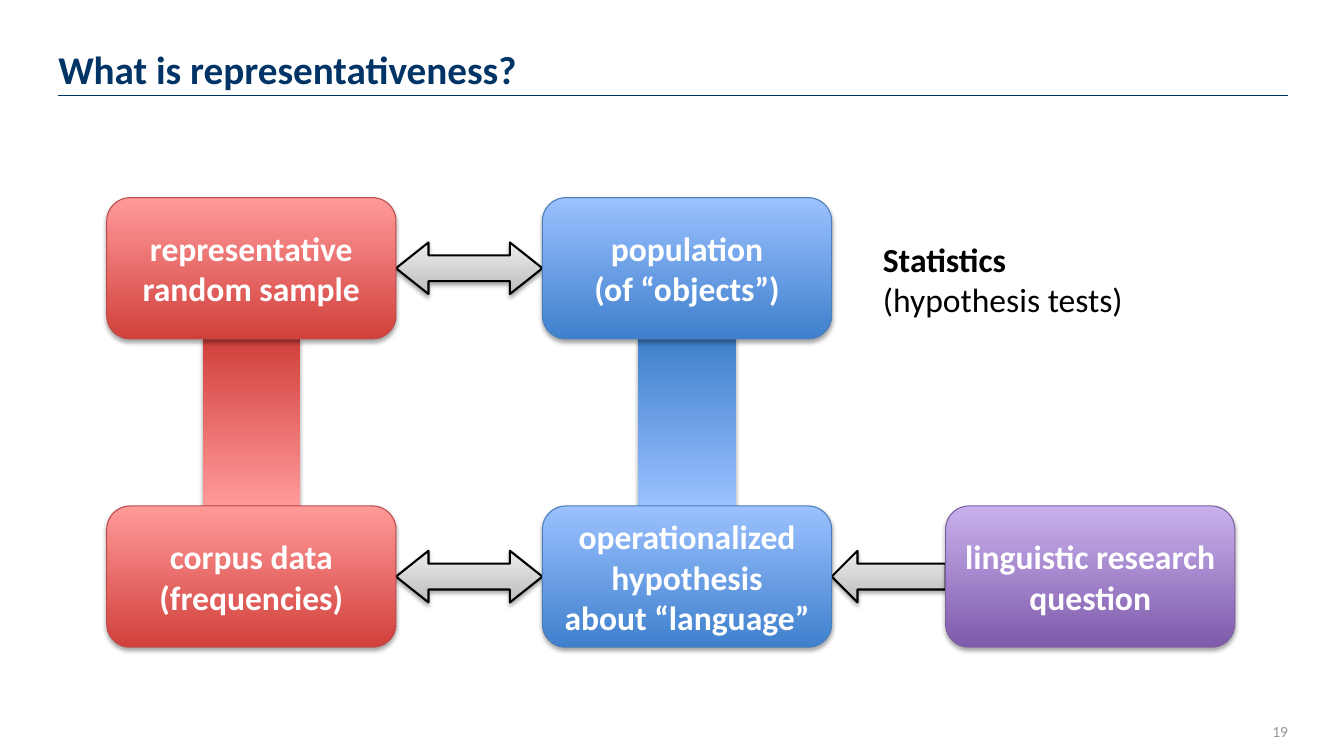
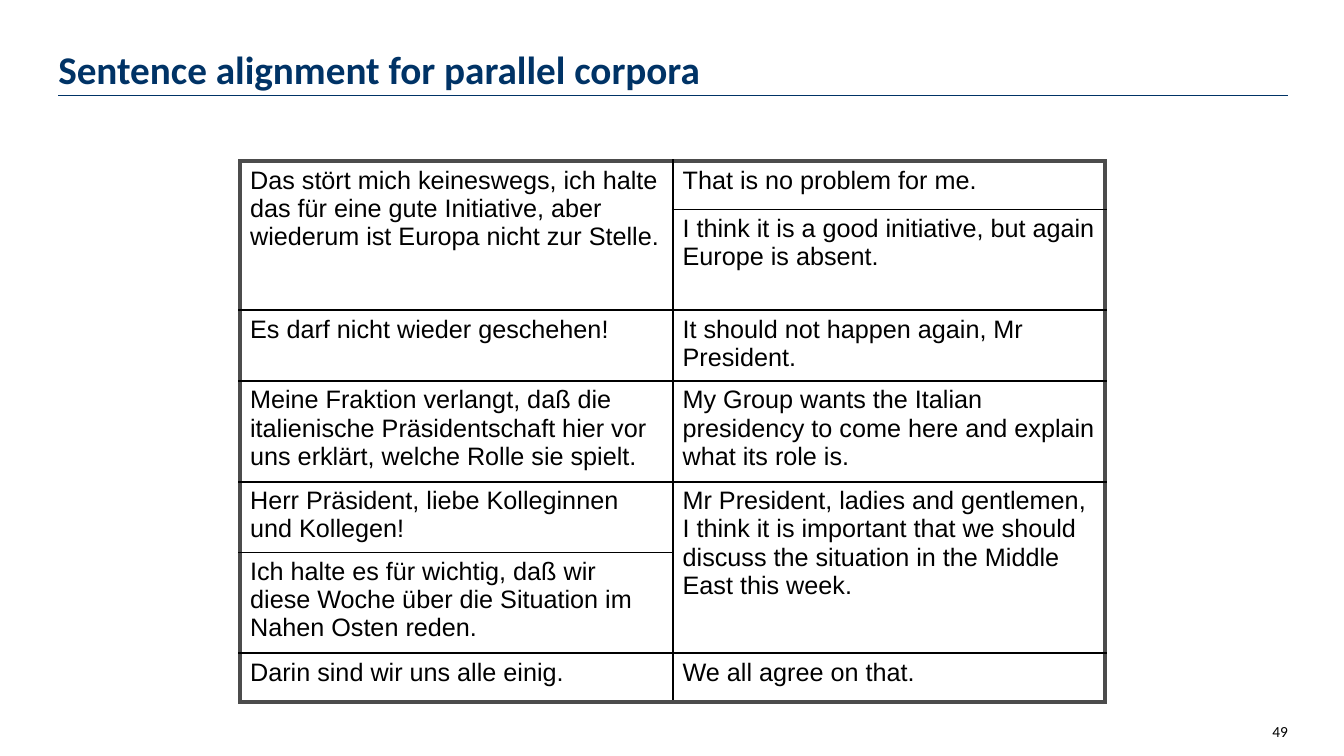
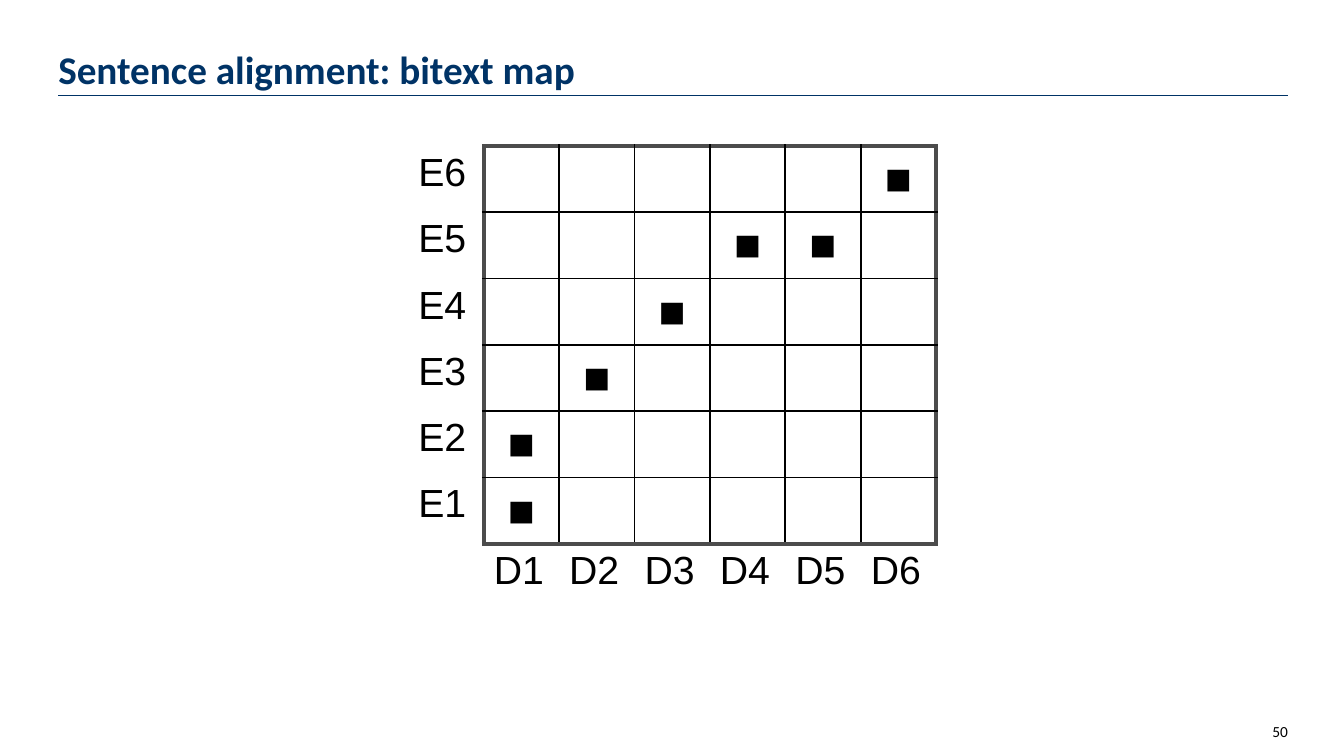
from dataclasses import dataclass

from lxml import etree
from pptx import Presentation, util as u
from pptx.dml.color import RGBColor
from pptx.enum import shapes, text
from pptx.oxml.ns import qn

Cm, Pt = u.Cm, u.Pt
SHAPE, ALIGN, ANCHOR = shapes.MSO_SHAPE, text.PP_ALIGN, text.MSO_ANCHOR


@dataclass(frozen=True)
class Theme:
    navy: str = "003366"
    black: str = "000000"
    white: str = "FFFFFF"
    grey: str = "969696"
    frame: str = "4C4C4C"
    # light end, dark end, outline
    red: tuple = ("FF9A99", "D1403C", "BE4B48")
    blue: tuple = ("9BC1FF", "3F80CD", "4A7EBB")
    violet: tuple = ("C8B0ED", "7F5BAB", "7D60A0")
    steel: tuple = ("EDEDED", "BCBCBC", "000000")
    head: str = "Calibri"
    body: str = "Arial"
    title: int = 28
    label: int = 24
    cell: int = 18
    mark: int = 32
    page: int = 11


T = Theme()
rgb = RGBColor.from_string


def put(frame, line, size=T.label, font=T.head, color=T.black, bold=False,
        align=ALIGN.LEFT, space=None):
    """Fill the empty first paragraph, or add one after the others."""
    para = frame.paragraphs[0]
    if para.runs:
        para = frame.add_paragraph()
    para.alignment = align
    if space:
        para.line_spacing = Pt(space)
    run = para.add_run()
    run.text = line
    run.font.size, run.font.name, run.font.bold = Pt(size), font, bold
    run.font.color.rgb = rgb(color)


def area(slide, x, y, w, h, anchor=ANCHOR.TOP, inset=None):
    """Add a text box; inset gives left, top, right and bottom margins."""
    frame = slide.shapes.add_textbox(Cm(x), Cm(y), Cm(w), Cm(h)).text_frame
    frame.word_wrap = True
    frame.vertical_anchor = anchor
    if inset:
        (frame.margin_left, frame.margin_top,
         frame.margin_right, frame.margin_bottom) = map(Cm, inset)
    return frame


def start(deck, title, page, tint=T.black):
    """Add a slide with its title, rule and page number."""
    slide = deck.slides.add_slide(deck.slide_layouts[6])
    rule = slide.shapes.add_connector(
        shapes.MSO_CONNECTOR.STRAIGHT, Cm(1.47), Cm(2.4), Cm(32.46), Cm(2.4))
    rule.line.color.rgb, rule.line.width = rgb(T.navy), Pt(0.75)
    etree.SubElement(rule._element.spPr, qn("a:effectLst"))
    put(area(slide, 1.47, 0.33, 21.44, 2.01, ANCHOR.BOTTOM, (0, 0, 0, 0)),
        title, size=T.title, color=T.navy, bold=True, space=T.title)
    put(area(slide, 30.78, 17.81, 1.68, 1.24, ANCHOR.MIDDLE, (0.25, 0, 0, 0)),
        str(page), size=T.page, color=tint, align=ALIGN.RIGHT)
    return slide


def shade(shape):
    """Give a shape a soft shadow straight below it."""
    shape.shadow.inherit = False
    effects = shape._element.spPr.find(qn("a:effectLst"))
    outer = etree.SubElement(effects, qn("a:outerShdw"), blurRad="40000",
                             dist="23000", dir="5400000", rotWithShape="0")
    color = etree.SubElement(outer, qn("a:srgbClr"), val=T.black)
    etree.SubElement(color, qn("a:alpha"), val="35000")


def solid(slide, kind, x, y, w, h, top, base, edge=None, width=0.75):
    """Add a shape shaded from a top to a base colour."""
    shape = slide.shapes.add_shape(kind, Cm(x), Cm(y), Cm(w), Cm(h))
    shape.fill.gradient()
    shape.fill.gradient_angle = 270
    for stop, color in zip(shape.fill.gradient_stops, (top, base)):
        stop.color.rgb = rgb(color)
    if edge:
        shape.line.color.rgb, shape.line.width = rgb(edge), Pt(width)
    else:
        shape.line.fill.background()
    shade(shape)
    return shape


def box(slide, x, y, w, h, hue, *lines):
    shape = solid(slide, SHAPE.ROUNDED_RECTANGLE, x, y, w, h, *hue)
    frame = shape.text_frame
    frame.word_wrap, frame.vertical_anchor = True, ANCHOR.MIDDLE
    for line in lines:
        put(frame, line, color=T.white, bold=True, align=ALIGN.CENTER)


def arrow(slide, kind, left, right, mid, tip):
    high = 1.3
    shape = solid(slide, kind, left, mid - high / 2, right - left, high,
                  *T.steel, width=1.5)
    shape.adjustments[1] = tip


def grid(slide, x, y, cols, rows):
    table = slide.shapes.add_table(
        len(rows), len(cols), Cm(x), Cm(y), Cm(sum(cols)), Cm(sum(rows))).table
    table.first_row = table.horz_banding = False
    for col, size in zip(table.columns, cols):
        col.width = Cm(size)
    for row, size in zip(table.rows, rows):
        row.height = Cm(size)
    return table


def border(table, rows, cols):
    """Frame the block of rows and cols; leave other cells without lines."""
    sides = {"L": (0, -1), "R": (0, 1), "T": (-1, 0), "B": (1, 0)}
    for r in range(len(table.rows)):
        for c in range(len(table.columns)):
            cell = table.cell(r, c)
            props = cell._tc.get_or_add_tcPr()
            own = r in rows and c in cols
            for side, (down, over) in sides.items():
                near = r + down in rows and c + over in cols
                line = etree.SubElement(props, qn("a:ln" + side))
                if not (own or near):
                    etree.SubElement(line, qn("a:noFill"))
                    continue
                width, color = (1.5, T.black) if own and near else (3, T.frame)
                line.set("w", str(Pt(width)))
                fill = etree.SubElement(line, qn("a:solidFill"))
                etree.SubElement(fill, qn("a:srgbClr"), val=color)
            cell.fill.background()


def sample(deck):
    slide = start(deck, "What is representativeness?", 19, T.grey)
    wide, high, bar = 7.29, 3.56, 2.46
    left, mid, right = 2.69, 13.67, 23.83
    upper, lower = 4.98, 12.75
    for x, hue in ((left, T.red), (mid, T.blue)):
        solid(slide, SHAPE.RECTANGLE, x + (wide - bar) / 2, upper + high,
              bar, lower - upper - high, hue[1], hue[0])
    for y in (upper, lower):
        arrow(slide, SHAPE.LEFT_RIGHT_ARROW, left + wide, mid, y + high / 2, 0.63)
    arrow(slide, SHAPE.LEFT_ARROW, mid + wide, right, lower + high / 2, 0.5)
    for x, y, hue, lines in (
            (left, upper, T.red, ("representative", "random sample")),
            (mid, upper, T.blue, ("population", "(of “objects”)")),
            (left, lower, T.red, ("corpus data", "(frequencies)")),
            (mid, lower, T.blue,
             ("operationalized", "hypothesis", "about “language”")),
            (right, lower, T.violet, ("linguistic research question",))):
        box(slide, x, y, wide, high, hue, *lines)
    note = area(slide, 22, 5.89, 6.78, 2.31)
    put(note, "Statistics", bold=True)
    put(note, "(hypothesis tests)")


def align(deck):
    slide = start(deck, "Sentence alignment for parallel corpora", 49)
    pairs = (
        ("Das stört mich keineswegs, ich halte das für eine gute Initiative, "
         "aber wiederum ist Europa nicht zur Stelle.",
         "That is no problem for me."),
        (None, "I think it is a good initiative, but again Europe is absent."),
        ("Es darf nicht wieder geschehen!",
         "It should not happen again, Mr President."),
        ("Meine Fraktion verlangt, daß die italienische Präsidentschaft hier "
         "vor uns erklärt, welche Rolle sie spielt.",
         "My Group wants the Italian presidency to come here and explain what "
         "its role is."),
        ("Herr Präsident, liebe Kolleginnen und Kollegen!",
         "Mr President, ladies and gentlemen, I think it is important that we "
         "should discuss the situation in the Middle East this week."),
        ("Ich halte es für wichtig, daß wir diese Woche über die Situation im "
         "Nahen Osten reden.", None),
        ("Darin sind wir uns alle einig.", "We all agree on that."),
    )
    table = grid(slide, 6.05, 4.06, [10.9] * 2,
                 [1.22, 2.4, 1.78, 2.54, 1.78, 2.54, 1.22])
    border(table, range(len(pairs)), range(2))
    for r, pair in enumerate(pairs):
        for c, line in enumerate(pair):
            if line is None:
                table.cell(r - 1, c).merge(table.cell(r, c))
            else:
                put(table.cell(r, c).text_frame, line, size=T.cell, font=T.body)


def bitext(deck):
    slide = start(deck, "Sentence alignment: bitext map", 50)
    count = 6
    table = grid(slide, 10.29, 3.68, [1.9] * (count + 1), [1.67] * (count + 1))
    border(table, range(count), range(1, count + 1))
    for n in range(1, count + 1):
        for r, c, name in ((count - n, 0, f"E{n}"), (count, n, f"D{n}")):
            put(table.cell(r, c).text_frame, name, size=T.title, font=T.body)
    links = ((1, 1), (1, 2), (2, 3), (3, 4), (4, 5), (5, 5), (6, 6))
    for german, english in links:
        cell = table.cell(count - english, german)
        cell.vertical_anchor = ANCHOR.MIDDLE
        put(cell.text_frame, "■", size=T.mark, font=T.body, align=ALIGN.CENTER)


def main():
    deck = Presentation()
    deck.slide_width, deck.slide_height = Cm(33.87), Cm(19.05)
    sample(deck)
    align(deck)
    bitext(deck)
    deck.save("out.pptx")


if __name__ == "__main__":
    main()
